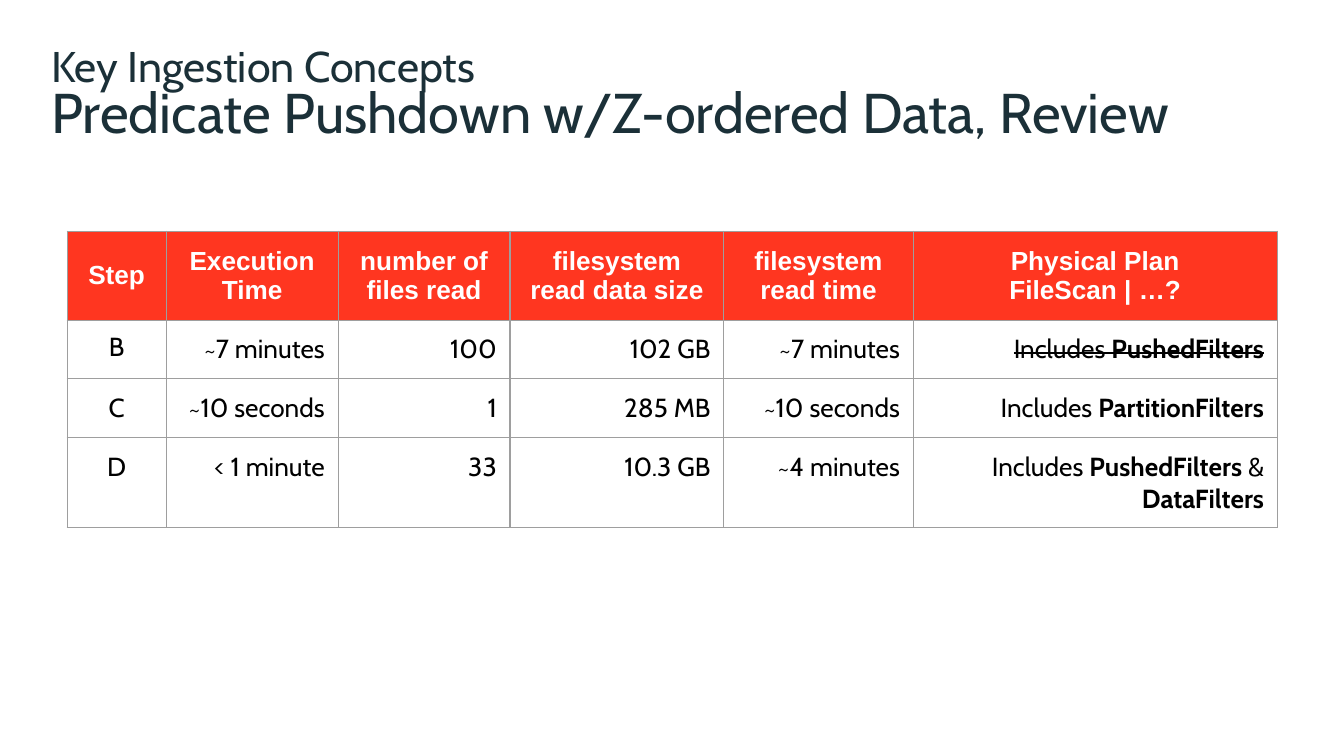
from pptx import Presentation
from pptx.dml.color import RGBColor
from pptx.enum.text import MSO_ANCHOR, PP_ALIGN
from pptx.oxml import parse_xml
from pptx.oxml.ns import nsdecls
from pptx.util import Cm, Pt

HEADINGS = ["Step", "Execution\nTime", "number of\nfiles read",
            "filesystem\nread data size", "filesystem\nread time",
            "Physical Plan\nFileScan | …?"]
STEPS = [
    ["B", "~7 minutes", "100", "102 GB", "~7 minutes",
     [("Includes ", "strike"), ("PushedFilters", "bold strike")]],
    ["C", "~10 seconds", "1", "285 MB", "~10 seconds",
     [("Includes ", ""), ("PartitionFilters", "bold")]],
    ["D", "< 1 minute", "33", "10.3 GB", "~4 minutes",
     [("Includes ", ""), ("PushedFilters ", "bold"), ("& ", ""),
      ("DataFilters", "bold")]],
]
COLUMN_WIDTHS = [1.87, 3.25, 3.25, 4.04, 3.58, 6.88]
ROW_HEIGHTS = [1.62, 1.1, 1.12, 1.7]


def color(value):
    return RGBColor.from_string(value)


class ReviewSlide:
    """Holds the slide and the style of its titles and table."""

    font = "Cabin"
    heading_font = "Arial"
    ink = "1B3038"
    accent = "FF3620"
    border = "9E9E9E"

    def __init__(self, slide):
        self.slide = slide

    def style(self, paragraph, size, ink, font):
        paragraph.font.size = Pt(size)
        paragraph.font.name = font
        paragraph.font.color.rgb = color(ink)

    def title(self, text, top, height, size, inset=0):
        box = self.slide.shapes.add_textbox(Cm(0.97), Cm(top), Cm(24.41), Cm(height))
        frame = box.text_frame
        frame.word_wrap = True
        frame.margin_left = frame.margin_right = 0
        frame.margin_top = frame.margin_bottom = Cm(inset)
        paragraph = frame.paragraphs[0]
        paragraph.text = text
        self.style(paragraph, size, self.ink, self.font)

    def table(self, left, top, widths, heights, headings, steps):
        table = self.slide.shapes.add_table(
            len(heights), len(widths), Cm(left), Cm(top),
            Cm(sum(widths)), Cm(sum(heights))).table
        for column, width in zip(table.columns, widths):
            column.width = Cm(width)
        for row, height in zip(table.rows, heights):
            row.height = Cm(height)
        for column, heading in enumerate(headings):
            self.heading_cell(table.cell(0, column), heading)
        for row, step in enumerate(steps, 1):
            for column, content in enumerate(step):
                align = PP_ALIGN.RIGHT if column else PP_ALIGN.CENTER
                self.body_cell(table.cell(row, column), content, align)
        table.cell(1, 0).text_frame.paragraphs[0].line_spacing = 0.9

    def heading_cell(self, cell, heading):
        paragraph = cell.text_frame.paragraphs[0]
        paragraph.text = heading
        paragraph.alignment = PP_ALIGN.CENTER
        self.style(paragraph, 14, "FFFFFF", self.heading_font)
        paragraph.font.bold = True
        cell.vertical_anchor = MSO_ANCHOR.MIDDLE
        self.frame_cell(cell, self.accent)

    def body_cell(self, cell, content, align):
        paragraph = cell.text_frame.paragraphs[0]
        paragraph.alignment = align
        self.style(paragraph, 14, "000000", self.font)
        parts = [(content, "")] if isinstance(content, str) else content
        for text, emphasis in parts:
            run = paragraph.add_run()
            run.text = text
            if "bold" in emphasis:
                run.font.bold = True
            if "strike" in emphasis:
                run._r.get_or_add_rPr().set("strike", "sngStrike")
        self.frame_cell(cell, "FFFFFF")

    def frame_cell(self, cell, fill):
        cell.margin_left = cell.margin_right = Cm(0.25)
        cell.margin_top = cell.margin_bottom = Cm(0.25)
        cell.fill.solid()
        cell.fill.fore_color.rgb = color(fill)
        properties = cell._tc.get_or_add_tcPr()
        for position, side in enumerate(("lnL", "lnR", "lnT", "lnB")):
            properties.insert(position, parse_xml(
                f'<a:{side} {nsdecls("a")} w="{Pt(0.75)}"><a:solidFill>'
                f'<a:srgbClr val="{self.border}"/></a:solidFill></a:{side}>'))


def main():
    presentation = Presentation()
    presentation.slide_width = Cm(25.4)
    presentation.slide_height = Cm(14.29)
    review = ReviewSlide(presentation.slides.add_slide(presentation.slide_layouts[6]))
    review.title("Key Ingestion Concepts", 0.64, 1.07, 23, inset=0.1)
    review.title("Predicate Pushdown w/Z-ordered Data, Review", 1.47, 1.27, 30)
    review.table(1.27, 4.37, COLUMN_WIDTHS, ROW_HEIGHTS, HEADINGS, STEPS)
    presentation.save("out.pptx")


if __name__ == "__main__":
    main()
